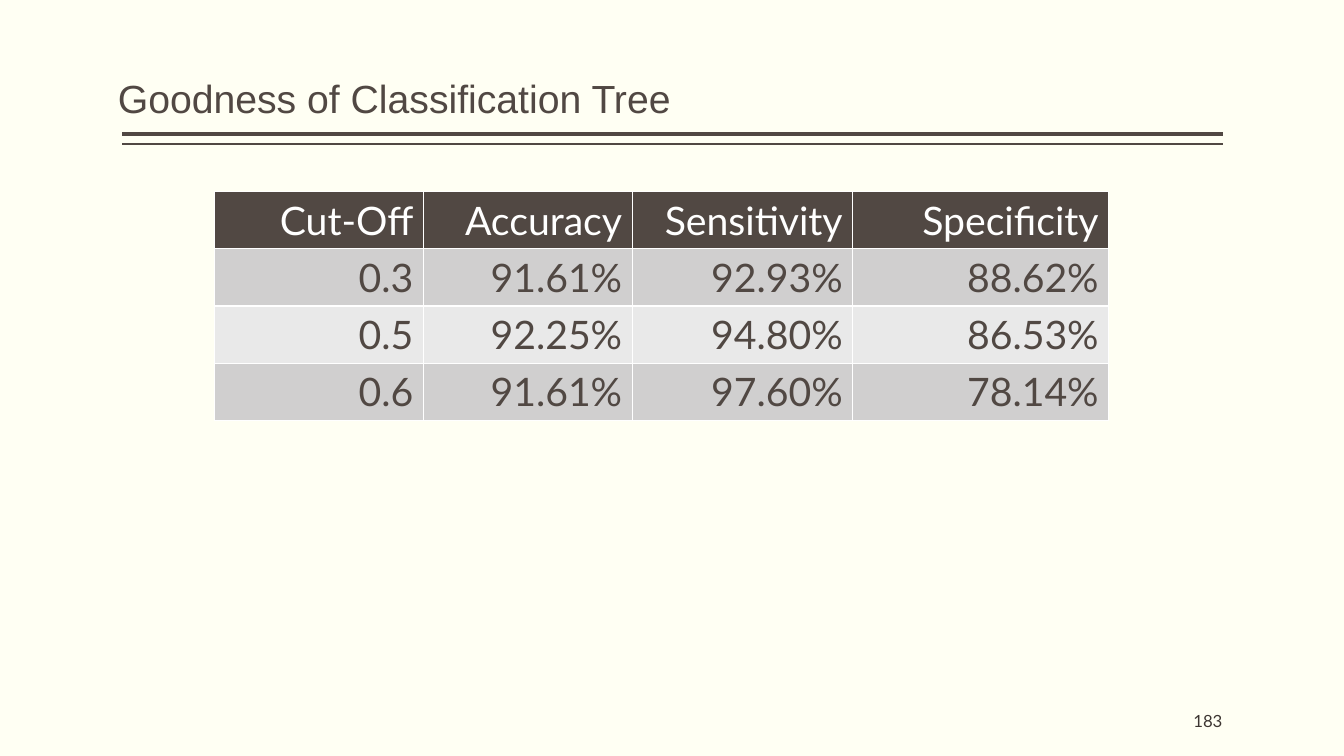
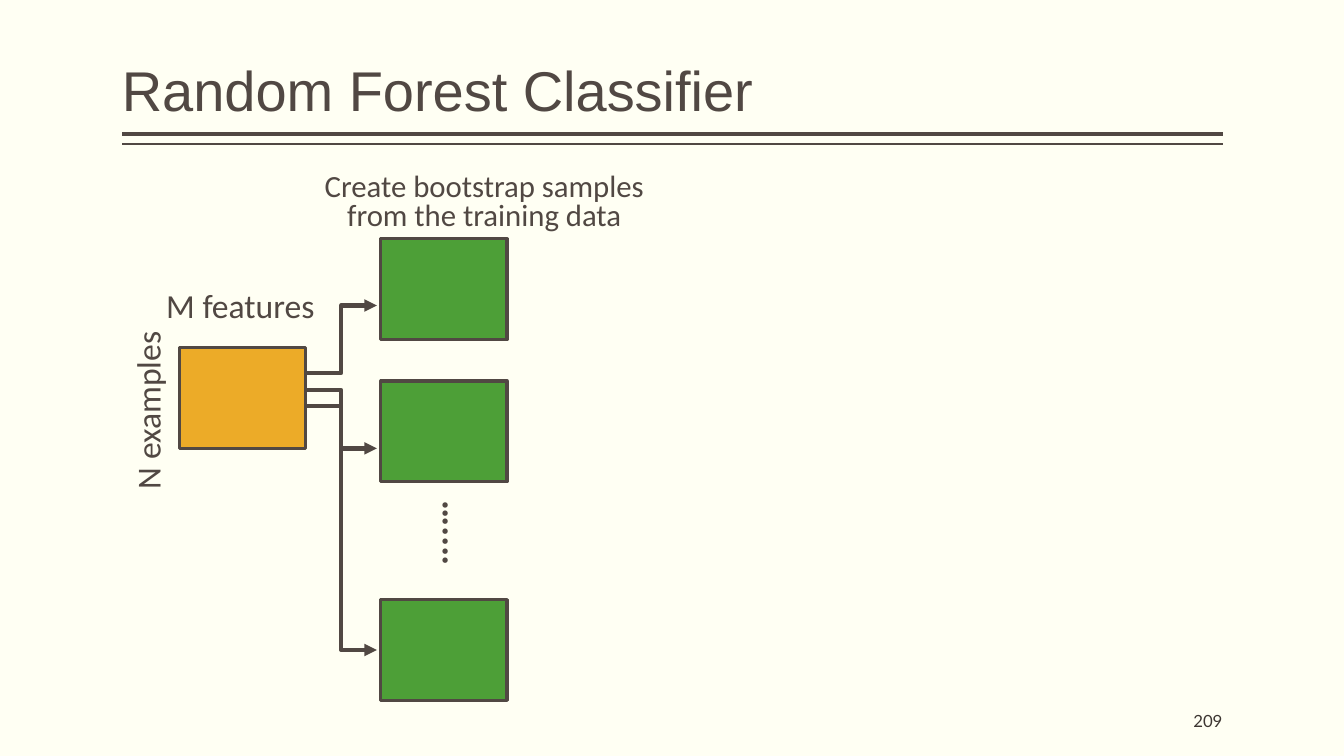
from lxml import etree
from pptx import Presentation
from pptx.dml.color import RGBColor
from pptx.enum.shapes import MSO_CONNECTOR, MSO_SHAPE
from pptx.enum.text import MSO_ANCHOR, MSO_AUTO_SIZE, PP_ALIGN
from pptx.oxml.ns import qn
from pptx.util import Cm, Pt

LEFT, CENTER, RIGHT = PP_ALIGN.LEFT, PP_ALIGN.CENTER, PP_ALIGN.RIGHT
TOP, MIDDLE, BOTTOM = MSO_ANCHOR.TOP, MSO_ANCHOR.MIDDLE, MSO_ANCHOR.BOTTOM
NO_FIT, GROW = MSO_AUTO_SIZE.NONE, MSO_AUTO_SIZE.SHAPE_TO_FIT_TEXT
STRAIGHT, ELBOW = MSO_CONNECTOR.STRAIGHT, MSO_CONNECTOR.ELBOW
RECTANGLE = MSO_SHAPE.RECTANGLE
TITLE_ONLY = 5

COLORS = {
    "background": "FFFFF3",
    "dark": "514843",
    "number": "3D3632",
    "white": "FFFFFF",
    "band_dark": "D0CFCF",
    "band_light": "E9E9E9",
    "sample": "4D9F37",
    "training": "ECAB28",
}


def rgb(name):
    return RGBColor.from_string(COLORS[name])


def write(frame, text, *, size, font, color="dark", bold=False, align=LEFT, spacing=1.0):
    """Fill a text frame, one paragraph per line of text."""
    for index, line in enumerate(text.split("\n")):
        paragraph = frame.add_paragraph() if index else frame.paragraphs[0]
        paragraph.alignment = align
        paragraph.line_spacing = spacing
        run = paragraph.add_run()
        run.text = line
        run.font.size = Pt(size)
        run.font.name = font
        run.font.bold = bold
        run.font.color.rgb = rgb(color)


class Deck:
    """Holds the shared style and the slide being built."""

    rule_left, rule_right = 3.07, 30.81

    def __init__(self):
        self.presentation = Presentation()
        self.presentation.slide_width = Cm(33.87)
        self.presentation.slide_height = Cm(19.05)
        fill = self.presentation.slide_master.background.fill
        fill.solid()
        fill.fore_color.rgb = rgb("background")
        self.slide = None

    def new_slide(self, title, number, *, box, size):
        layout = self.presentation.slide_layouts[TITLE_ONLY]
        self.slide = self.presentation.slides.add_slide(layout)
        # Double rule under the title
        for top, width in ((3.38, 3), (3.63, 1)):
            self.line((self.rule_right, top), (self.rule_left, top), width=width)
        # Title
        placeholder = self.slide.shapes.title
        placeholder.left, placeholder.top, placeholder.width, placeholder.height = map(Cm, box)
        self.frame(placeholder, anchor=BOTTOM, side_margin=0)
        write(placeholder.text_frame, title, size=size, font="Arial", spacing=0.9)
        # Slide number
        self.text(str(number), (25.73, 17.65, 5.08, 1.02), anchor=MIDDLE, side_margin=0,
                  size=12, font="Lato", color="number", align=RIGHT)

    def frame(self, shape, *, anchor=TOP, side_margin=0.25, wrap=True, fit=NO_FIT):
        frame = shape.text_frame
        frame.word_wrap = wrap
        frame.auto_size = fit
        frame.vertical_anchor = anchor
        frame.margin_left = frame.margin_right = Cm(side_margin)
        frame.margin_top = frame.margin_bottom = Cm(0.13)

    def text(self, text, box, *, rotation=0, anchor=TOP, side_margin=0.25, wrap=True,
             fit=NO_FIT, **style):
        shape = self.slide.shapes.add_textbox(*map(Cm, box))
        shape.rotation = rotation
        self.frame(shape, anchor=anchor, side_margin=side_margin, wrap=wrap, fit=fit)
        write(shape.text_frame, text, **style)

    def label(self, text, box, **style):
        """Add diagram text whose box fits its content."""
        self.text(text, box, fit=GROW, font="Calibri", **style)

    def rectangle(self, box, color):
        shape = self.slide.shapes.add_shape(RECTANGLE, *map(Cm, box))
        shape.shadow.inherit = False
        shape.fill.solid()
        shape.fill.fore_color.rgb = rgb(color)
        shape.line.color.rgb = rgb("dark")
        shape.line.width = Pt(2.25)

    def line(self, start, end, *, kind=STRAIGHT, width=3, arrow=False):
        connector = self.slide.shapes.add_connector(kind, *map(Cm, (*start, *end)))
        connector.line.color.rgb = rgb("dark")
        connector.line.width = Pt(width)
        properties = connector.element.spPr
        if arrow:
            outline = properties.find(qn("a:ln"))
            etree.SubElement(outline, qn("a:tailEnd"), type="triangle")
        etree.SubElement(properties, qn("a:effectLst"))

    def table(self, rows, left, top, widths, row_height):
        table = self.slide.shapes.add_table(
            len(rows), len(widths), Cm(left), Cm(top),
            Cm(sum(widths)), Cm(row_height * len(rows))).table
        for column, width in zip(table.columns, widths):
            column.width = Cm(width)
        for row_index, row in enumerate(rows):
            table.rows[row_index].height = Cm(row_height)
            band = "band_dark" if row_index % 2 else "band_light"
            fill, color = (band, "dark") if row_index else ("dark", "white")
            for column_index, value in enumerate(row):
                cell = table.cell(row_index, column_index)
                cell.fill.solid()
                cell.fill.fore_color.rgb = rgb(fill)
                self.borders(cell)
                write(cell.text_frame, value, size=28, font="Lato", color=color, align=RIGHT)

    def borders(self, cell):
        properties = cell._tc.get_or_add_tcPr()
        for index, side in enumerate(("lnL", "lnR", "lnT", "lnB")):
            border = etree.Element(qn(f"a:{side}"), w=str(Pt(1)))
            fill = etree.SubElement(border, qn("a:solidFill"))
            etree.SubElement(fill, qn("a:srgbClr"), val=COLORS["white"])
            properties.insert(index, border)


def build_goodness(deck):
    deck.new_slide("Goodness of Classification Tree", 183,
                   box=(2.97, 0.94, 21.9, 2.26), size=28)
    rows = [
        ("Cut-Off", "Accuracy", "Sensitivity", "Specificity"),
        ("0.3", "91.61%", "92.93%", "88.62%"),
        ("0.5", "92.25%", "94.80%", "86.53%"),
        ("0.6", "91.61%", "97.60%", "78.14%"),
    ]
    deck.table(rows, 5.41, 4.83, (5.26, 5.26, 5.56, 6.45), 1.44)


def build_random_forest(deck):
    deck.new_slide("Random Forest Classifier", 209,
                   box=(3.07, 0.2, 27.74, 3.05), size=40)
    box_width, box_height = 3.18, 2.54
    training_left, training_top = 4.52, 8.76
    sample_left = 9.6

    # Training data
    deck.rectangle((training_left, training_top, box_width, box_height), "training")
    deck.label("M features", (3.94, 7.06, 4.29, 1.27), wrap=False, size=24)
    deck.label("N examples", (1.45, 9.68, 4.52, 1.27), wrap=False, size=24, rotation=270)

    # Bootstrap samples, each with the heights where its arrow leaves and arrives
    deck.label("Create bootstrap samples\nfrom the training data", (4.37, 4.24, 15.67, 1.75),
               size=22, align=CENTER, spacing=0.8)
    for top, leave, arrive in ((6.02, 9.4, 7.7), (9.6, 10.24, 11.3), (15.11, 9.83, 16.38)):
        deck.rectangle((sample_left, top, box_width, box_height), "sample")
        deck.line((training_left + box_width, leave), (sample_left - 0.1, arrive),
                  kind=ELBOW, arrow=True)
    deck.label("....…", (9.83, 12.75, 2.16, 1.35), wrap=False, size=26, bold=True, rotation=270)


def main():
    deck = Deck()
    build_goodness(deck)
    build_random_forest(deck)
    deck.presentation.save("out.pptx")


if __name__ == "__main__":
    main()
